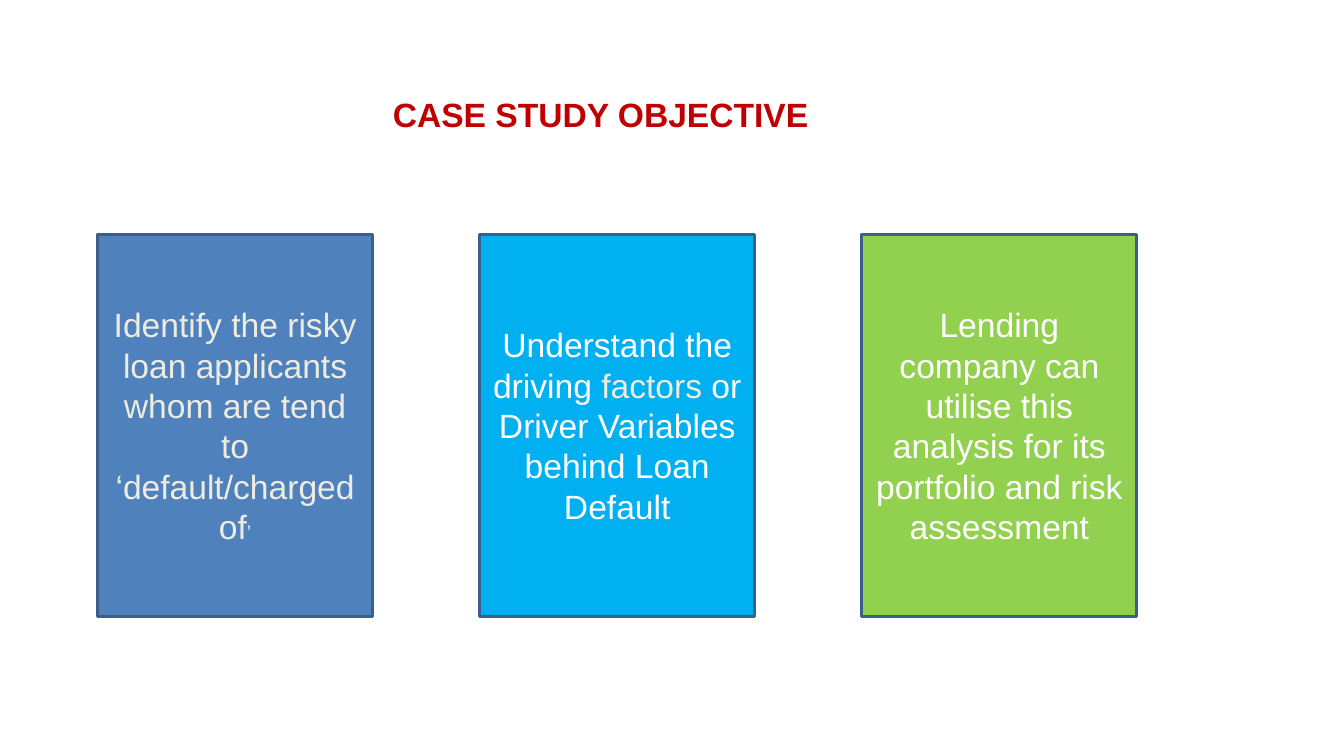
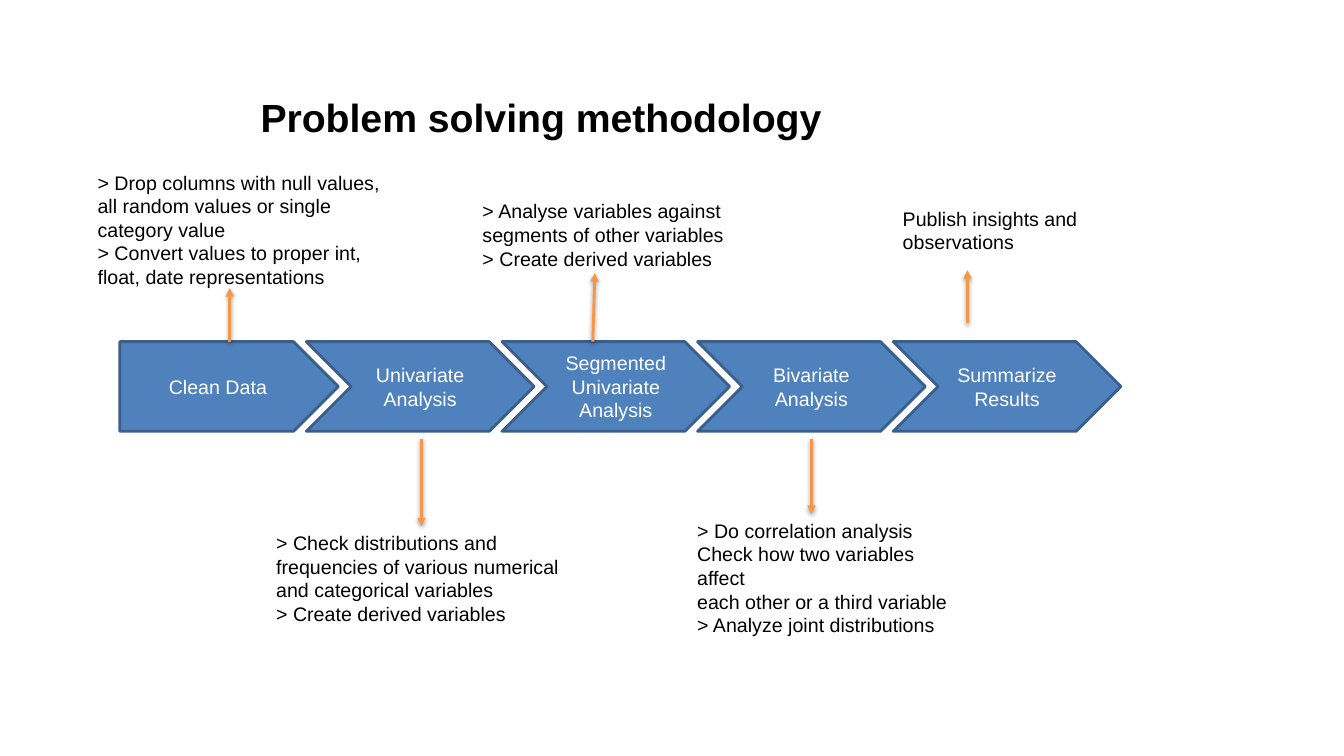
from dataclasses import dataclass

from lxml import etree
from pptx import Presentation
from pptx.dml.color import RGBColor as RGB
from pptx.enum.shapes import MSO_CONNECTOR, MSO_SHAPE as SHAPE
from pptx.enum.text import MSO_ANCHOR as ANCHOR, PP_ALIGN as ALIGN
from pptx.oxml import parse_xml
from pptx.oxml.ns import nsdecls, qn
from pptx.util import Cm, Pt


@dataclass(frozen=True)
class Theme:
    font: str = "Arial"
    blue: str = "4F81BD"
    sky: str = "00B0F0"
    green: str = "92D050"
    outline: str = "3A5F8C"
    arrow: str = "F79646"
    red: str = "C00000"
    black: str = "000000"
    white: str = "FFFFFF"
    cream: str = "EEECE1"
    title: int = 28
    large: int = 24
    body: int = 14
    line: int = 2


T = Theme()

SHADOW = f"""<a:effectLst {nsdecls("a")}>
  <a:outerShdw blurRad="40000" dist="20000" dir="5400000" rotWithShape="0">
    <a:srgbClr val="{T.black}"><a:alpha val="38000"/></a:srgbClr>
  </a:outerShdw>
</a:effectLst>"""


class Deck:
    def __init__(self):
        self.prs = Presentation()
        self.prs.slide_width, self.prs.slide_height = Cm(33.87), Cm(19.05)
        self.slide = None

    def new_slide(self):
        self.slide = self.prs.slides.add_slide(self.prs.slide_layouts[6])

    def style(self, run, size, color, bold=False):
        font = run.font
        font.name, font.size, font.bold = T.font, Pt(size), bold
        font.color.rgb = RGB.from_string(color)

    def text(self, box, text, size, color=T.black, bold=False):
        tf = self.slide.shapes.add_textbox(*map(Cm, box)).text_frame
        tf.word_wrap = True
        tf.text = text
        for p in tf.paragraphs:
            for r in p.runs:
                self.style(r, size, color, bold)
        return tf

    def title(self, box, text, size, color, align=ALIGN.LEFT, inset=0):
        tf = self.text(box, text, size, color, bold=True)
        tf.margin_left, tf.margin_top = Cm(inset), Cm(0.03)
        tf.margin_right = tf.margin_bottom = 0
        tf.paragraphs[0].alignment = align

    def block(self, kind, box, fill, runs):
        """Outlined shape with centred text; runs are (text, size, colour)."""
        sp = self.slide.shapes.add_shape(kind, *map(Cm, box))
        sp.shadow.inherit = False
        sp.fill.solid()
        sp.fill.fore_color.rgb = RGB.from_string(fill)
        sp.line.color.rgb = RGB.from_string(T.outline)
        sp.line.width = Pt(T.line)
        tf = sp.text_frame
        tf.word_wrap = True
        tf.vertical_anchor = ANCHOR.MIDDLE
        p = tf.paragraphs[0]
        p.alignment = ALIGN.CENTER
        for text, size, color in runs:
            r = p.add_run()
            r.text = text
            self.style(r, size, color)

    def arrow(self, ends):
        line = self.slide.shapes.add_connector(MSO_CONNECTOR.STRAIGHT, *map(Cm, ends))
        line.line.color.rgb = RGB.from_string(T.arrow)
        line.line.width = Pt(T.line)
        etree.SubElement(line.line._get_or_add_ln(), qn("a:tailEnd"), type="triangle")
        line._element.spPr.append(parse_xml(SHADOW))


def objective(deck):
    deck.new_slide()
    deck.title((3.73, 2.34, 18, 1.07), "CASE STUDY OBJECTIVE", T.large, T.red, inset=6.17)
    cards = [
        (T.blue, [
            ("Identify the risky loan applicants whom are tend to ‘default/charged of",
             T.large, T.cream),
            ("’", T.body, T.cream)]),
        (T.sky, [
            ("Understand the driving ", T.large, T.white),
            ("factors", T.large, T.cream),
            (" or Driver Variables behind Loan Default", T.large, T.white)]),
        (T.green, [
            ("Lending company can utilise this analysis for its portfolio and risk assessment",
             T.large, T.white)]),
    ]
    left, top, width, height, gap = 2.46, 5.9, 6.93, 9.63, 2.7
    for i, (fill, runs) in enumerate(cards):
        deck.block(SHAPE.RECTANGLE, (left + i * (width + gap), top, width, height), fill, runs)


def methodology(deck):
    deck.new_slide()
    deck.title((3.68, 2.31, 19.91, 1.22), "Problem solving methodology",
               T.title, T.black, ALIGN.CENTER)
    # Each step: label, note, note box, arrow ends
    steps = [
        ("Clean Data",
         "> Drop columns with null values,\nall random values or single\ncategory value\n"
         "> Convert values to proper int,\nfloat, date representations",
         (2.21, 4.17, 7.8, 3.84), (5.79, 8.61, 5.79, 7.26)),
        ("Univariate Analysis",
         "> Check distributions and\nfrequencies of various numerical\n"
         "and categorical variables\n> Create derived variables",
         (6.71, 13.26, 7.8, 3.25), (10.62, 11.05, 10.62, 13.26)),
        ("Segmented Univariate Analysis",
         "> Analyse variables against\nsegments of other variables\n> Create derived variables",
         (11.91, 4.9, 7.19, 2.64), (14.94, 8.61, 14.99, 6.88)),
        ("Bivariate Analysis",
         "> Do correlation analysis\nCheck how two variables affect\n"
         "each other or a third variable\n> Analyze joint distributions",
         (17.32, 12.95, 7.04, 3.84), (20.45, 11.05, 20.45, 12.95)),
        ("Summarize Results",
         "Publish insights and\nobservations",
         (22.5, 5.08, 5.08, 1.45), (24.38, 8.15, 24.38, 6.81)),
    ]
    top, height, pitch = 8.61, 2.26, 4.93
    for i, (label, note, note_box, ends) in enumerate(steps):
        if i == 0:
            kind, left, width = SHAPE.PENTAGON, 3.02, 5.51
        else:
            kind, left, width = SHAPE.CHEVRON, 2.79 + i * pitch, 5.74
        deck.block(kind, (left, top, width, height), T.blue, [(label, T.body, T.white)])
        deck.text(note_box, note, T.body)
        deck.arrow(ends)


def main():
    deck = Deck()
    objective(deck)
    methodology(deck)
    deck.prs.save("out.pptx")


if __name__ == "__main__":
    main()
